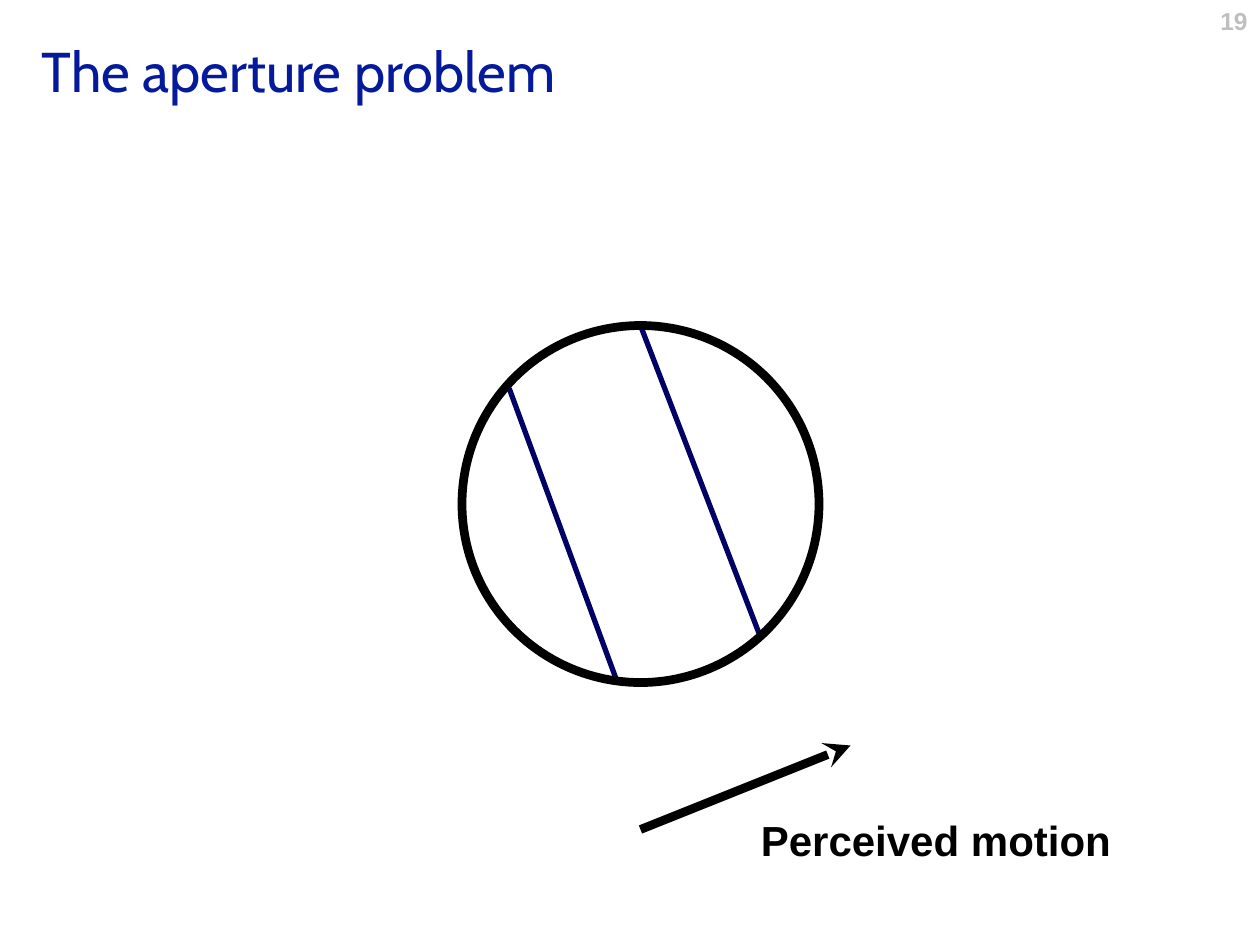
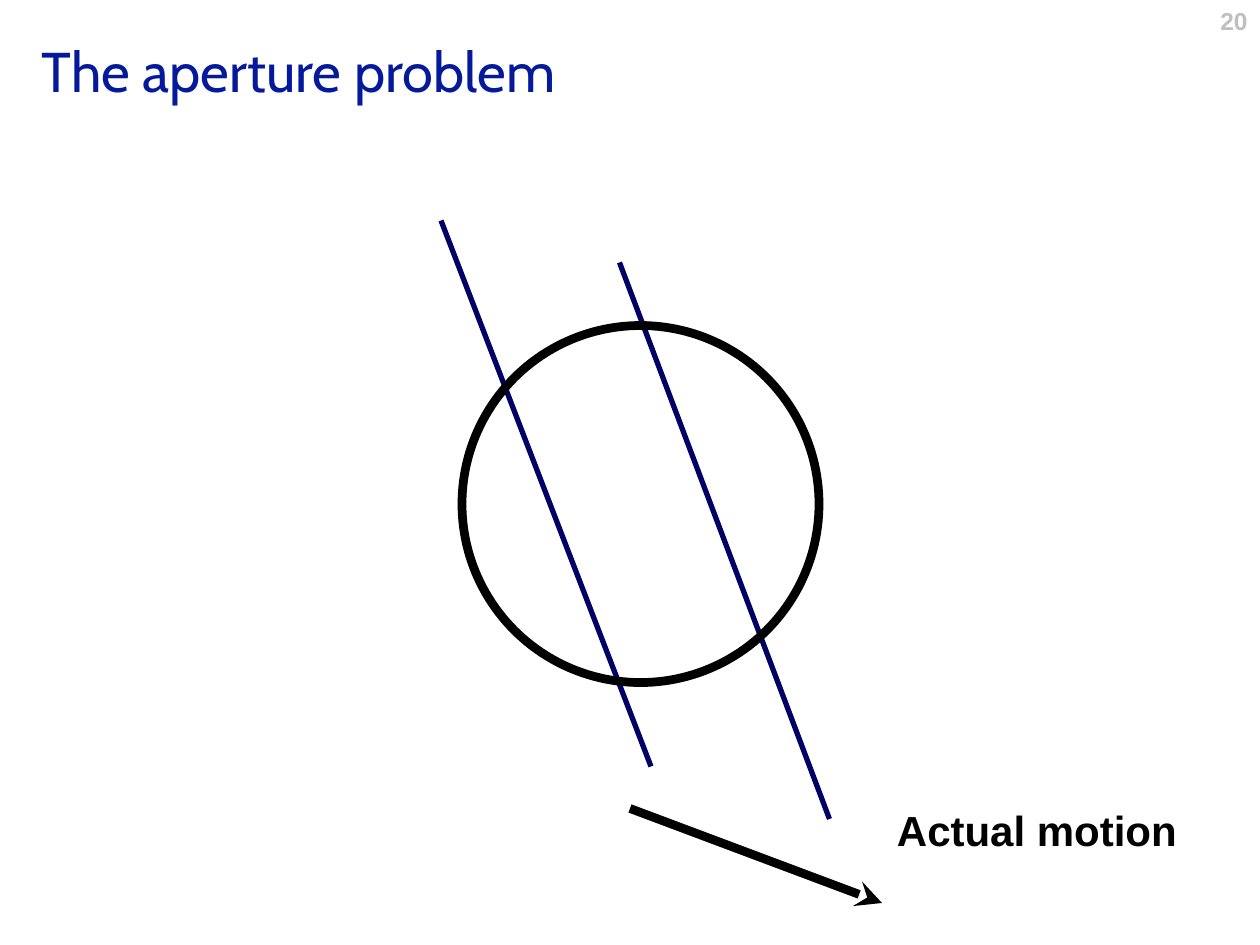
from dataclasses import dataclass
from typing import NamedTuple

from lxml.etree import SubElement
from pptx import Presentation
from pptx.dml.color import RGBColor
from pptx.enum.shapes import MSO_CONNECTOR as Connector, MSO_SHAPE as Shape
from pptx.enum.text import MSO_ANCHOR as Anchor, MSO_AUTO_SIZE as AutoSize, PP_ALIGN as Align
from pptx.oxml.ns import qn
from pptx.util import Inches, Pt

SLIDE_WIDTH, SLIDE_HEIGHT = Inches(10), Inches(7.5)
COLUMNS, ROWS = 120, 90
TITLE_ONLY_LAYOUT = 5


class Box(NamedTuple):
    column: float
    row: float
    columns: float
    rows: float


class Segment(NamedTuple):
    start_column: float
    start_row: float
    end_column: float
    end_row: float


@dataclass(frozen=True)
class TextStyle:
    font: str
    size: int
    color: RGBColor
    bold: bool = False


@dataclass(frozen=True)
class Theme:
    background: RGBColor = RGBColor(0xFF, 0xFF, 0xFF)
    ink: RGBColor = RGBColor(0x00, 0x00, 0x00)
    stripe: RGBColor = RGBColor(0x00, 0x00, 0x65)
    thin: int = 3
    thick: int = 5
    title: TextStyle = TextStyle("Cabin", 32, RGBColor(0x04, 0x1A, 0x9B))
    label: TextStyle = TextStyle("Arial", 24, RGBColor(0x00, 0x00, 0x00), True)
    number: TextStyle = TextStyle("Arial", 14, RGBColor(0xBF, 0xBF, 0xBF), True)


@dataclass(frozen=True)
class MotionSlide:
    number: int
    stripes: tuple[Segment, ...]
    arrow: Segment
    label: str
    label_box: Box


THEME = Theme()
TITLE = "The aperture problem"
TITLE_BOX = Box(2.76, 2.16, 114.48, 9.12)
NUMBER_BOX = Box(92, 0, 28, 4.8)
APERTURE_BOX = Box(44, 31, 34, 34)

MOTION_SLIDES = (
    MotionSlide(
        number=19,
        stripes=(Segment(48.5, 37, 58.8, 65), Segment(61, 31, 72.4, 60.6)),
        arrow=Segment(61, 79, 81, 71),
        label="Perceived motion",
        label_box=Box(71.28, 77, 35.76, 6),
    ),
    MotionSlide(
        number=20,
        stripes=(Segment(42, 21, 62, 73), Segment(59, 25, 79, 78)),
        arrow=Segment(60, 77, 84, 86),
        label="Actual motion",
        label_box=Box(84.24, 76, 29.04, 6),
    ),
)


def across(columns: float) -> int:
    return round(SLIDE_WIDTH * columns / COLUMNS)


def down(rows: float) -> int:
    return round(SLIDE_HEIGHT * rows / ROWS)


def place(box: Box) -> tuple[int, int, int, int]:
    return across(box.column), down(box.row), across(box.columns), down(box.rows)


def write(frame, text: str, style: TextStyle, align: Align = Align.LEFT) -> None:
    paragraph = frame.paragraphs[0]
    paragraph.alignment = align
    run = paragraph.add_run()
    run.text = text
    run.font.name = style.font
    run.font.size = Pt(style.size)
    run.font.bold = style.bold
    run.font.color.rgb = style.color


def add_title(slide) -> None:
    title = slide.shapes.title
    title.left, title.top, title.width, title.height = place(TITLE_BOX)
    frame = title.text_frame
    frame.auto_size = AutoSize.NONE
    frame.vertical_anchor = Anchor.MIDDLE
    write(frame, TITLE, THEME.title)


def add_number(slide, number: int) -> None:
    frame = slide.shapes.add_textbox(*place(NUMBER_BOX)).text_frame
    frame.word_wrap = True
    write(frame, str(number), THEME.number, Align.RIGHT)


def add_label(slide, text: str, box: Box) -> None:
    frame = slide.shapes.add_textbox(*place(box)).text_frame
    frame.word_wrap = False
    frame.auto_size = AutoSize.SHAPE_TO_FIT_TEXT
    write(frame, text, THEME.label)


def add_line(slide, segment: Segment, color: RGBColor, width: int, arrow: bool = False) -> None:
    connector = slide.shapes.add_connector(
        Connector.STRAIGHT,
        across(segment.start_column), down(segment.start_row),
        across(segment.end_column), down(segment.end_row),
    )
    connector.line.color.rgb = color
    connector.line.width = Pt(width)
    if arrow:
        SubElement(connector.line._get_or_add_ln(), qn("a:tailEnd"), type="stealth")
    SubElement(connector._element.spPr, qn("a:effectLst"))


def add_aperture(slide) -> None:
    aperture = slide.shapes.add_shape(Shape.OVAL, *place(APERTURE_BOX))
    aperture.shadow.inherit = False
    aperture.fill.background()
    aperture.line.color.rgb = THEME.ink
    aperture.line.width = Pt(THEME.thick)


def add_motion_slide(presentation, motion: MotionSlide) -> None:
    slide = presentation.slides.add_slide(presentation.slide_layouts[TITLE_ONLY_LAYOUT])
    slide.background.fill.solid()
    slide.background.fill.fore_color.rgb = THEME.background
    add_number(slide, motion.number)
    add_title(slide)
    for stripe in motion.stripes:
        add_line(slide, stripe, THEME.stripe, THEME.thin)
    add_aperture(slide)
    add_line(slide, motion.arrow, THEME.ink, THEME.thick, arrow=True)
    add_label(slide, motion.label, motion.label_box)


def main() -> None:
    presentation = Presentation()
    presentation.slide_width, presentation.slide_height = SLIDE_WIDTH, SLIDE_HEIGHT
    for motion in MOTION_SLIDES:
        add_motion_slide(presentation, motion)
    presentation.save("out.pptx")


if __name__ == "__main__":
    main()
